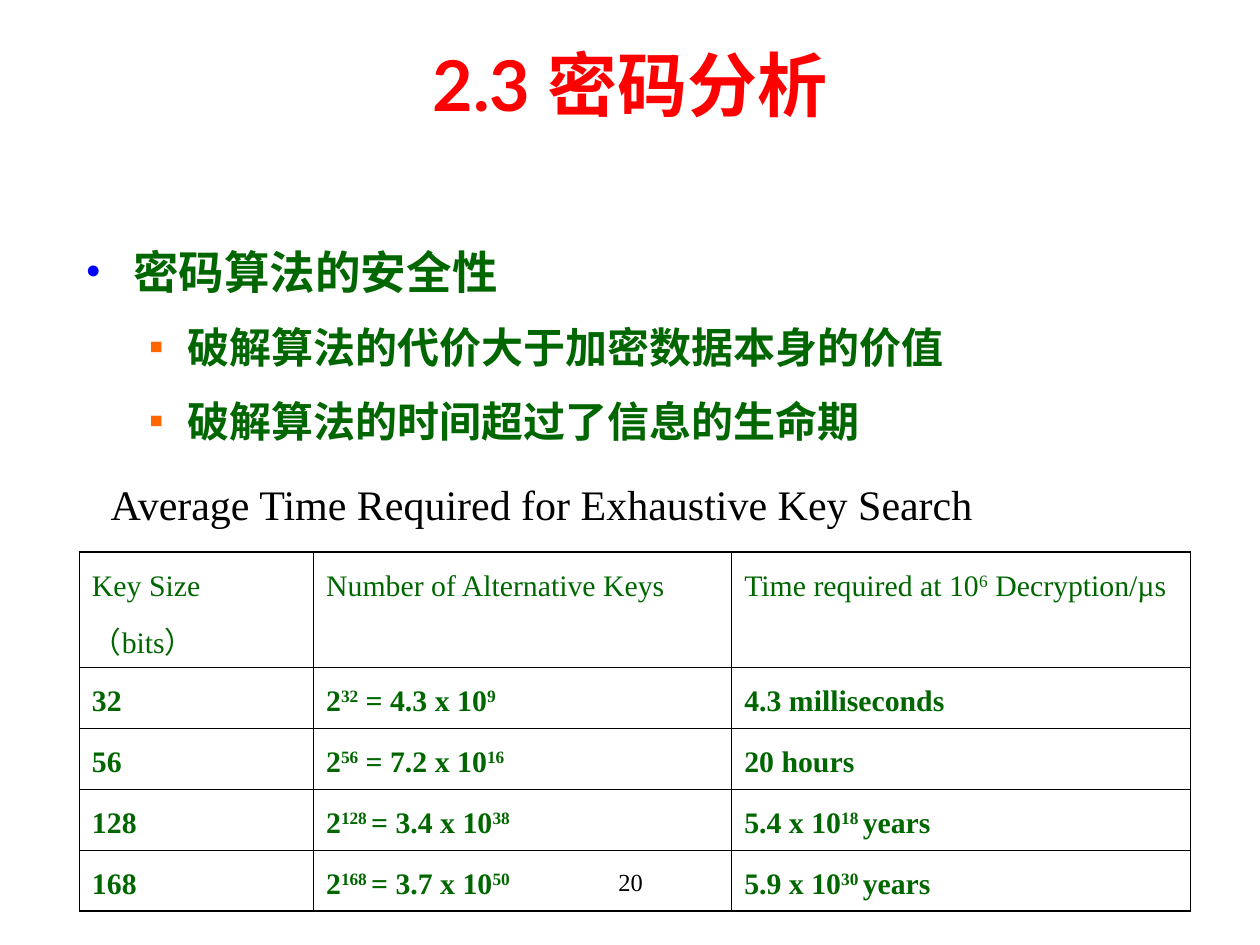
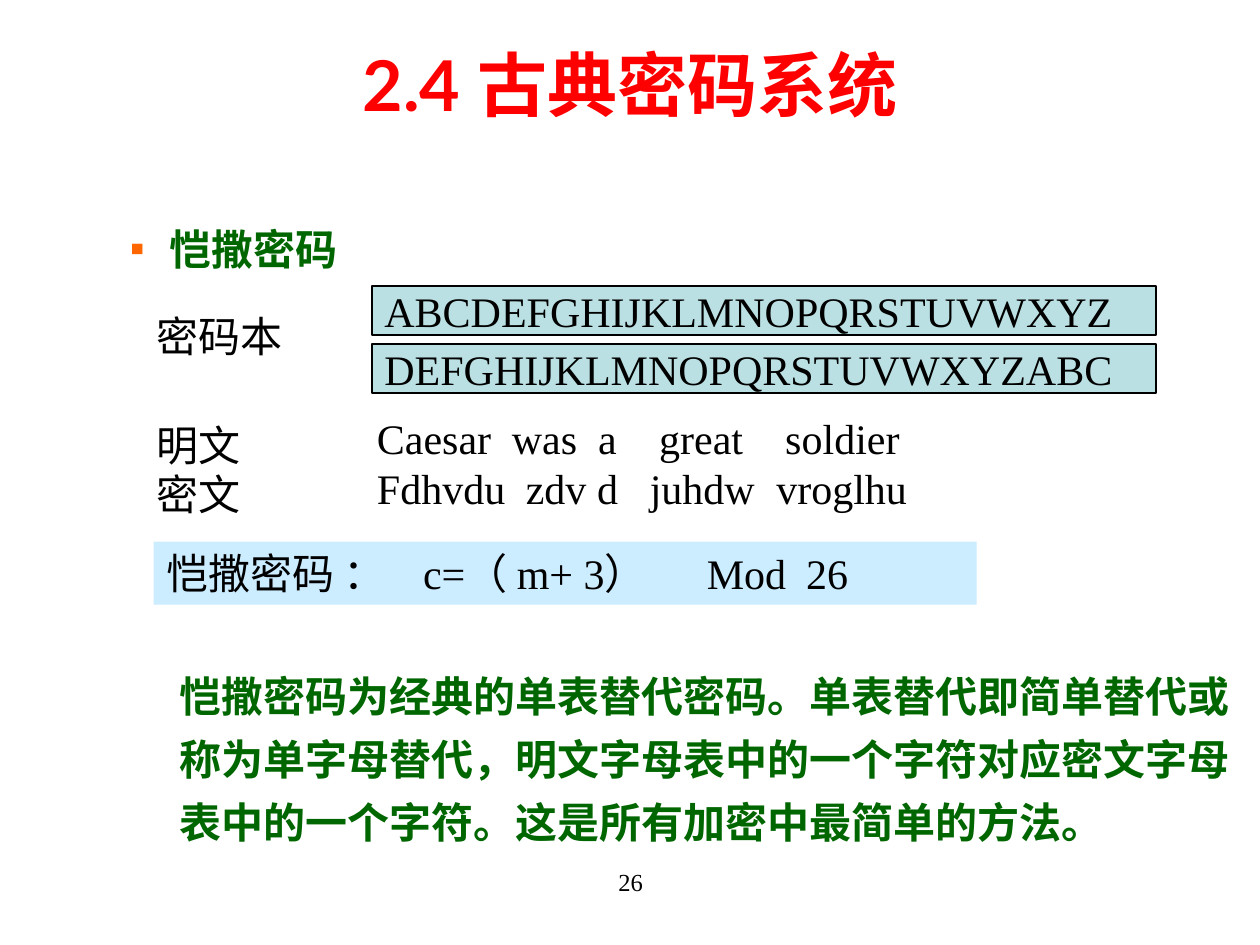
"""Build two slides on cryptanalysis and the Caesar cipher."""
import pptx
import pptx.dml.color
import pptx.enum.shapes
import pptx.enum.text
import pptx.oxml.ns
import pptx.util
from lxml import etree

Cm = pptx.util.Cm
Pt = pptx.util.Pt
rgb = pptx.dml.color.RGBColor.from_string
qn = pptx.oxml.ns.qn
MIDDLE = pptx.enum.text.MSO_ANCHOR.MIDDLE
CENTER = pptx.enum.text.PP_ALIGN.CENTER

COLORS = {
    "title": "FF0000",
    "body": "006600",
    "plain": "000000",
    "dot": "0000FF",
    "square": "FF6600",
    "alphabet": "BBE0E3",
    "formula": "CCECFF",
}
SERIF = "Times New Roman"
SANS = "Lato"
DOT = ("•", "dot", 0.97, 0.97)
SQUARE = ("▪", "square", 2.07, 0.79)


def place(slide, left, top, width, height, fill=None, line=None):
    """Add a box and return its text frame."""
    box = slide.shapes.add_shape(
        pptx.enum.shapes.MSO_SHAPE.RECTANGLE, Cm(left), Cm(top), Cm(width), Cm(height)
    ) if fill else slide.shapes.add_textbox(Cm(left), Cm(top), Cm(width), Cm(height))
    if fill:
        box.shadow.inherit = False
        box.fill.solid()
        box.fill.fore_color.rgb = rgb(COLORS[fill])
        if line:
            box.line.color.rgb = rgb(COLORS[line])
            box.line.width = Pt(1)
        else:
            box.line.fill.background()
    frame = box.text_frame
    frame.word_wrap = True
    frame.vertical_anchor = pptx.enum.text.MSO_ANCHOR.TOP
    return frame


def write(paragraph, text, size=24, color="plain", font=SERIF, bold=False,
          align=pptx.enum.text.PP_ALIGN.LEFT, bullet=None, tabs=()):
    """Fill a paragraph; every second part between bars is superscript."""
    paragraph.alignment = align
    properties = paragraph._p.get_or_add_pPr()
    if bullet:
        mark, mark_color, indent, hang = bullet
        properties.set("marL", str(Cm(indent)))
        properties.set("indent", str(-Cm(hang)))
        tint = etree.SubElement(properties, qn("a:buClr"))
        etree.SubElement(tint, qn("a:srgbClr"), val=COLORS[mark_color])
        etree.SubElement(properties, qn("a:buFont"), typeface=SERIF)
        etree.SubElement(properties, qn("a:buChar"), char=mark)
    if tabs:
        stops = etree.SubElement(properties, qn("a:tabLst"))
        for stop in tabs:
            etree.SubElement(stops, qn("a:tab"), pos=str(Cm(stop)), algn="l")
    for index, part in enumerate(text.split("|")):
        if part:
            run = paragraph.add_run()
            run.text = part
            run.font.size = Pt(size)
            run.font.name = font
            run.font.bold = bold
            run.font.color.rgb = rgb(COLORS[color])
            if index % 2:
                run.font._element.set("baseline", "30000")


deck = pptx.Presentation()
deck.slide_width = Cm(25.4)
deck.slide_height = Cm(19.05)

slides = []
for title, number in [("2.3 密码分析", "20"), ("2.4 古典密码系统", "26")]:
    slide = deck.slides.add_slide(deck.slide_layouts[6])
    footer = place(slide, 8.69, 17.35, 8.05, 1.27)
    write(footer.paragraphs[0], number, 14, align=CENTER)
    heading = place(slide, 0, 0.84, 25.4, 1.7)
    heading.vertical_anchor = MIDDLE
    write(heading.paragraphs[0], title, 40, "title", SANS, True, CENTER)
    slides.append(slide)
analysis, classical = slides

security = place(analysis, 1.47, 4.52, 22.12, 4.83)
points = [
    ("密码算法的安全性", 26, DOT),
    ("破解算法的代价大于加密数据本身的价值", 24, SQUARE),
    ("破解算法的时间超过了信息的生命期", 24, SQUARE),
]
for index, (text, size, bullet) in enumerate(points):
    point = security.add_paragraph() if index else security.paragraphs[0]
    point.line_spacing = 1.25
    if index:
        point.space_before = Pt(6)
    write(point, text, size, "body", SANS, True, bullet=bullet)

search_rows = [
    ("Key Size （bits）", "Number of Alternative Keys", "Time required at 10|6| Decryption/µs"),
    ("32", "2|32| = 4.3 x 10|9", "4.3 milliseconds"),
    ("56", "2|56| = 7.2 x 10|16", "20 hours"),
    ("128", "2|128 |= 3.4 x 10|38", "5.4 x 10|18 |years"),
    ("168", "2|168 |= 3.7 x 10|50", "5.9 x 10|30 |years"),
]
column_widths = [4.72, 8.43, 9.25]
row_heights = [2.32] + [1.23] * 4
key_search = analysis.shapes.add_table(
    len(search_rows), len(column_widths), Cm(1.6), Cm(11.13),
    Cm(sum(column_widths)), Cm(sum(row_heights))
).table
for column, width in zip(key_search.columns, column_widths):
    column.width = Cm(width)
for row, height in zip(key_search.rows, row_heights):
    row.height = Cm(height)
last_row, last_column = len(search_rows) - 1, len(column_widths) - 1
for r, texts in enumerate(search_rows):
    for c, text in enumerate(texts):
        cell = key_search.cell(r, c)
        entry = cell.text_frame.paragraphs[0]
        entry.line_spacing = 1.35
        write(entry, text, 17, "body", bold=r > 0)
        outer_edges = {"lnL": c == 0, "lnR": c == last_column,
                       "lnT": r == 0, "lnB": r == last_row}
        cell_properties = cell._tc.get_or_add_tcPr()
        for edge, outer in outer_edges.items():
            border = etree.SubElement(cell_properties, qn("a:" + edge),
                                      w=str(Pt(1.08 if outer else 0.45)))
            ink = etree.SubElement(border, qn("a:solidFill"))
            etree.SubElement(ink, qn("a:srgbClr"), val=COLORS["plain"])
        cell.fill.background()

caption = place(analysis, 1.98, 9.53, 20.45, 1.27)
write(caption.paragraphs[0], "Average Time Required for Exhaustive Key Search")

caesar = place(classical, 1.09, 4.13, 21.59, 1.6).paragraphs[0]
caesar.line_spacing = 1.25
write(caesar, "恺撒密码", 24, "body", SANS, True, bullet=SQUARE)

for label, top in [("密码本", 6.13), ("明文", 8.33), ("密文", 9.33)]:
    write(place(classical, 2.9, top, 3.38, 1.27).paragraphs[0], label)

letters = "ABCDEFGHIJKLMNOPQRSTUVWXYZ"
for alphabet, top in [(letters, 5.77), (letters[3:] + letters[:3], 6.93)]:
    strip = place(classical, 7.5, top, 15.8, 0.99, "alphabet", "plain")
    strip.vertical_anchor = MIDDLE
    write(strip.paragraphs[0], alphabet)

messages = [
    ("Caesar\twas\ta\tgreat\tsoldier", 8.33, (2.72, 4.46, 5.69, 8.23)),
    ("Fdhvdu\tzdv\td\tjuhdw\tvroglhu", 9.33, (3, 4.44, 5.5, 8.05)),
]
for message, top, tabs in messages:
    sentence = place(classical, 7.35, top, 14, 0.99)
    sentence.vertical_anchor = MIDDLE
    write(sentence.paragraphs[0], message, tabs=tabs)

formula = place(classical, 3.1, 10.92, 16.59, 1.27, "formula")
write(formula.paragraphs[0], "恺撒密码 ：\tc=（ m+ 3）\tMod\t26", tabs=(5.18, 10.9, 12.9))

remark = place(classical, 1.3, 13.13, 24.1, 4.6).paragraphs[0]
remark.line_spacing = 1.25
remark._p.get_or_add_pPr().set("marL", str(Cm(2.06)))
write(remark, "恺撒密码为经典的单表替代密码。单表替代即简单替代或称为单字母替代，"
      "明文字母表中的一个字符对应密文字母表中的一个字符。这是所有加密中最简单的方法。",
      24, "body", SANS, True)

deck.save("out.pptx")
